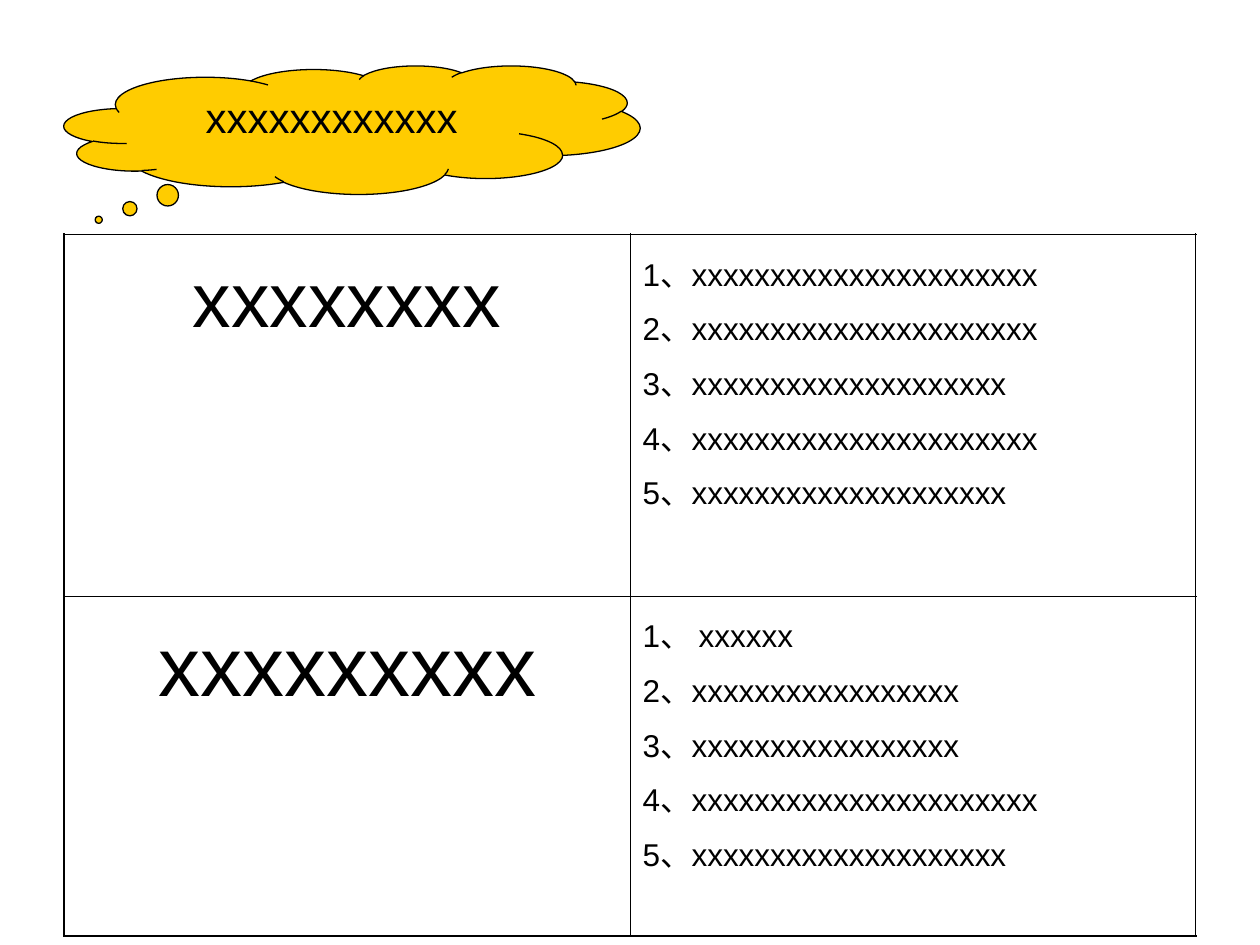
"""Build a slide with a thought cloud above a two-by-two table of topics and points."""
from dataclasses import dataclass

from lxml import etree
from pptx import Presentation
from pptx import util as u
from pptx.dml import color
from pptx.enum import shapes, text
from pptx.oxml import ns


@dataclass(frozen=True)
class Theme:
    font: str = "Arial"
    ink: str = "000000"
    cloud: str = "FFCC00"
    cloud_size: int = 24
    point_size: int = 18
    outline: float = 0.75
    outer_border: float = 1.08
    inner_border: float = 0.45
    line_spacing: float = 1.2


class SlideBuilder:
    def __init__(self, slide, theme):
        self.slide = slide
        self.theme = theme

    def set_text(self, frame, lines, size, align, spacing=None):
        frame.text = "\n".join(lines)
        for paragraph in frame.paragraphs:
            paragraph.alignment = align
            paragraph.line_spacing = spacing
            paragraph.font.name = self.theme.font
            paragraph.font.size = u.Pt(size)
            paragraph.font.color.rgb = color.RGBColor.from_string(self.theme.ink)

    def cloud(self, left, top, width, height, tail, label):
        shape = self.slide.shapes.add_shape(
            shapes.MSO_SHAPE.CLOUD_CALLOUT,
            u.Inches(left), u.Inches(top), u.Inches(width), u.Inches(height))
        shape.shadow.inherit = False
        shape.fill.solid()
        shape.fill.fore_color.rgb = color.RGBColor.from_string(self.theme.cloud)
        shape.line.color.rgb = color.RGBColor.from_string(self.theme.ink)
        shape.line.width = u.Pt(self.theme.outline)
        for index, offset in enumerate(tail):
            shape.adjustments[index] = offset
        shape.text_frame.word_wrap = True
        shape.text_frame.vertical_anchor = text.MSO_ANCHOR.TOP
        self.set_text(shape.text_frame, [label], self.theme.cloud_size, text.PP_ALIGN.CENTER)

    def border(self, cell, side, width):
        properties = cell._tc.get_or_add_tcPr()
        line = etree.SubElement(properties, ns.qn(f"a:ln{side}"), w=str(u.Pt(width)))
        fill = etree.SubElement(line, ns.qn("a:solidFill"))
        etree.SubElement(fill, ns.qn("a:srgbClr"), val=self.theme.ink)

    def table(self, left, top, column_widths, row_heights, topics):
        rows, columns = len(row_heights), len(column_widths)
        table = self.slide.shapes.add_table(
            rows, columns, u.Inches(left), u.Inches(top),
            u.Inches(sum(column_widths)), u.Inches(sum(row_heights))).table
        table.first_row = table.horz_banding = False
        for column, width in zip(table.columns, column_widths):
            column.width = u.Inches(width)
        for row, height in zip(table.rows, row_heights):
            row.height = u.Inches(height)
        for row, (topic, topic_size, points) in enumerate(topics):
            contents = (([topic], topic_size, text.PP_ALIGN.CENTER),
                        (points, self.theme.point_size, text.PP_ALIGN.LEFT))
            for column, content in enumerate(contents):
                cell = table.cell(row, column)
                outer = {"L": column == 0, "R": column == columns - 1,
                         "T": row == 0, "B": row == rows - 1}
                for side, is_outer in outer.items():
                    self.border(cell, side, self.theme.outer_border if is_outer
                                else self.theme.inner_border)
                cell.fill.background()
                self.set_text(cell.text_frame, *content, self.theme.line_spacing)


def main():
    presentation = Presentation()
    presentation.slide_width, presentation.slide_height = u.Inches(10), u.Inches(7.5)
    slide = presentation.slides.add_slide(presentation.slide_layouts[6])
    builder = SlideBuilder(slide, Theme())
    builder.cloud(0.51, 0.52, 4.57, 1.02, (-0.44, 0.7), "xxxxxxxxxxxx")
    builder.table(0.51, 1.86, (4.49, 4.49), (2.87, 2.7), [
        ("xxxxxxxx", 44, [
            "1、xxxxxxxxxxxxxxxxxxxxxx",
            "2、xxxxxxxxxxxxxxxxxxxxxx",
            "3、xxxxxxxxxxxxxxxxxxxx",
            "4、xxxxxxxxxxxxxxxxxxxxxx",
            "5、xxxxxxxxxxxxxxxxxxxx",
        ]),
        ("xxxxxxxxx", 48, [
            "1、 xxxxxx",
            "2、xxxxxxxxxxxxxxxxx",
            "3、xxxxxxxxxxxxxxxxx",
            "4、xxxxxxxxxxxxxxxxxxxxxx",
            "5、xxxxxxxxxxxxxxxxxxxx",
        ]),
    ])
    presentation.save("out.pptx")


if __name__ == "__main__":
    main()
